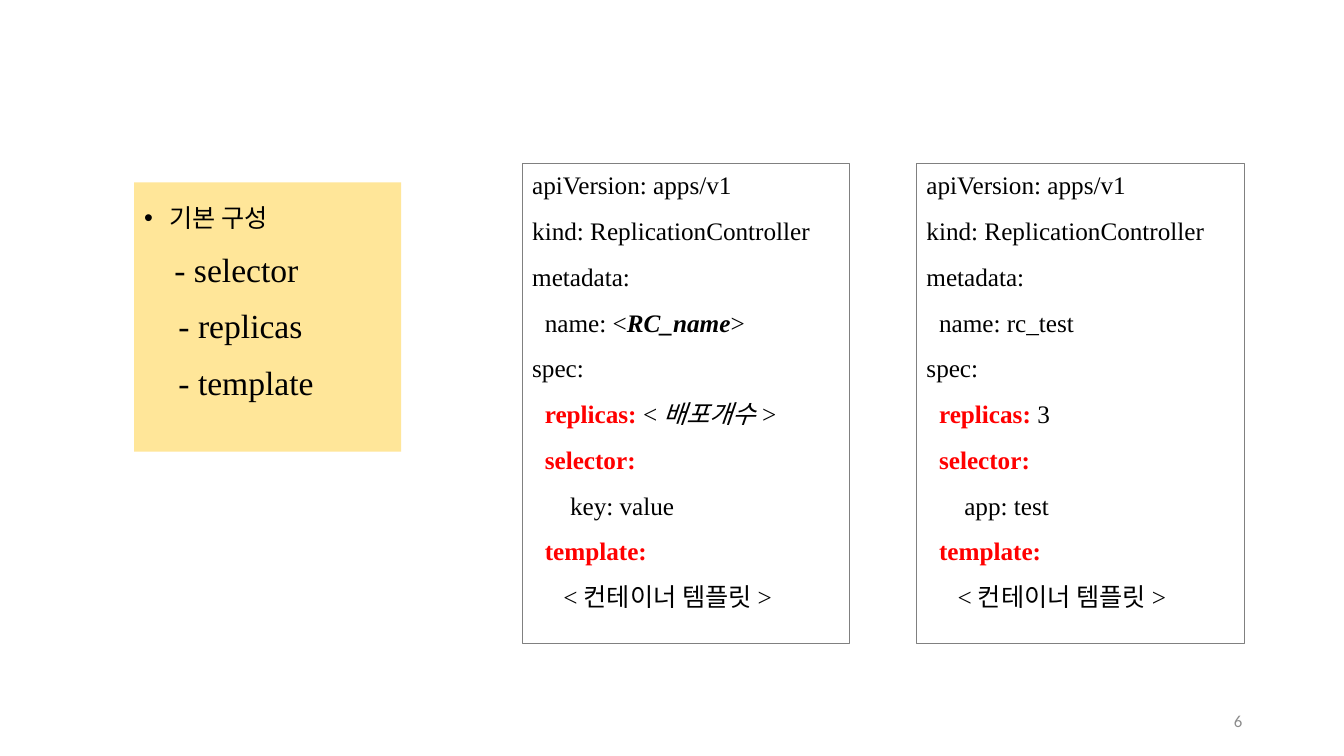
from dataclasses import dataclass

from lxml.etree import SubElement
from pptx import Presentation
from pptx.dml.color import RGBColor as Rgb
from pptx.enum.shapes import MSO_SHAPE as Shape
from pptx.enum.text import MSO_ANCHOR as Anchor, MSO_AUTO_SIZE as AutoSize, PP_ALIGN as Align
from pptx.oxml.ns import qn
from pptx.util import Inches, Pt

COLORS = {
    "text": "000000",
    "keyword": "FF0000",
    "note": "FFE699",
    "border": "808080",
    "number": "8C8C8C",
}
SERIF, SANS = "Times New Roman", "Calibri"


@dataclass(frozen=True)
class Span:
    text: str
    bold: bool = False
    italic: bool = False
    color: str = "text"


@dataclass(frozen=True)
class Line:
    spans: tuple[Span, ...]
    indent: float = 0
    size: int = 18
    font: str = SERIF
    spacing: float = 1.05
    bullet: bool = False
    align: Align = Align.LEFT


@dataclass(frozen=True)
class Panel:
    left: float
    name: tuple[Span, ...]
    replicas: tuple[Span, ...]
    selector: str


def color(name: str) -> Rgb:
    return Rgb.from_string(COLORS[name])


def keyword(text: str) -> Span:
    return Span(text, bold=True, color="keyword")


def place(box, left: float, top: float, width: float, height: float) -> None:
    bounds = {"left": left, "top": top, "width": width, "height": height}
    for attribute, value in bounds.items():
        setattr(box, attribute, Inches(value))


def write_lines(box, lines: list[Line], anchor: Anchor = Anchor.TOP) -> None:
    frame = box.text_frame
    settings = {"word_wrap": True, "auto_size": AutoSize.NONE, "vertical_anchor": anchor}
    for attribute, value in settings.items():
        setattr(frame, attribute, value)
    for index, line in enumerate(lines):
        para = frame.add_paragraph() if index else frame.paragraphs[0]
        layout = {
            "alignment": line.align,
            "line_spacing": line.spacing,
            "space_before": Pt(10),
            "space_after": Pt(0),
        }
        for attribute, value in layout.items():
            setattr(para, attribute, value)
        # Indents and bullets
        properties = para._p.get_or_add_pPr()
        properties.set("marL", str(Inches(line.indent)))
        properties.set("indent", str(-Inches(line.indent) if line.bullet else 0))
        if line.bullet:
            SubElement(properties, qn("a:buFont"), typeface="Arial")
            SubElement(properties, qn("a:buChar"), char="•")
        else:
            SubElement(properties, qn("a:buNone"))
        for span in line.spans:
            run = para.add_run()
            run.text = span.text
            style = {
                "name": line.font,
                "size": Pt(line.size),
                "bold": span.bold,
                "italic": span.italic,
            }
            for attribute, value in style.items():
                setattr(run.font, attribute, value)
            run.font.color.rgb = color(span.color)


def draw_panel(page, panel: Panel) -> None:
    box = page.shapes.add_shape(
        Shape.RECTANGLE, Inches(panel.left), Inches(1.62), Inches(3.25), Inches(4.76)
    )
    box.shadow.inherit = False
    box.fill.background()
    box.line.color.rgb = color("border")
    box.line.width = Pt(0.75)
    write_lines(box, [
        Line((Span("apiVersion: apps/v1"),)),
        Line((Span("kind: ReplicationController"),)),
        Line((Span("metadata:"),)),
        Line((Span("name: "), *panel.name), 0.125),
        Line((Span("spec:"),)),
        Line((keyword("replicas: "), *panel.replicas), 0.125),
        Line((keyword("selector:"),), 0.125),
        Line((Span(panel.selector),), 0.375),
        Line((keyword("template:"),), 0.125),
        Line((Span("<컨테이너 템플릿>"),), 0.31),
    ])


PANELS = [
    Panel(
        5.18,
        (Span("<"), Span("RC_name", bold=True, italic=True), Span(">")),
        (Span("<"), Span("배포개수", italic=True), Span(">")),
        "key: value",
    ),
    Panel(9.09, (Span("rc_test"),), (Span("3"),), "app: test"),
]


def main() -> None:
    deck = Presentation()
    deck.slide_width, deck.slide_height = Inches(13.33), Inches(7.5)
    page = deck.slides.add_slide(deck.slide_layouts[1])
    title = page.shapes.title
    title.element.getparent().remove(title.element)

    # Basic composition list
    body = page.placeholders[1]
    place(body, 1.33, 1.81, 2.65, 2.67)
    body.fill.solid()
    body.fill.fore_color.rgb = color("note")
    fields = {"selector": 0.3, "replicas": 0.34, "template": 0.34}
    write_lines(body, [
        Line((Span("기본 구성"),), 0.25, font=SANS, spacing=1.5, bullet=True),
        *(Line((Span(f"- {field}"),), indent, size=24) for field, indent in fields.items()),
    ])

    # Manifest form and example
    for panel in PANELS:
        draw_panel(page, panel)

    # Page number
    number = page.shapes.add_textbox(Inches(9.42), Inches(6.95), Inches(3), Inches(0.4))
    write_lines(
        number,
        [Line((Span("6", color="number"),), size=12, font=SANS, spacing=1.0, align=Align.RIGHT)],
        Anchor.MIDDLE,
    )

    deck.save("out.pptx")


if __name__ == "__main__":
    main()
